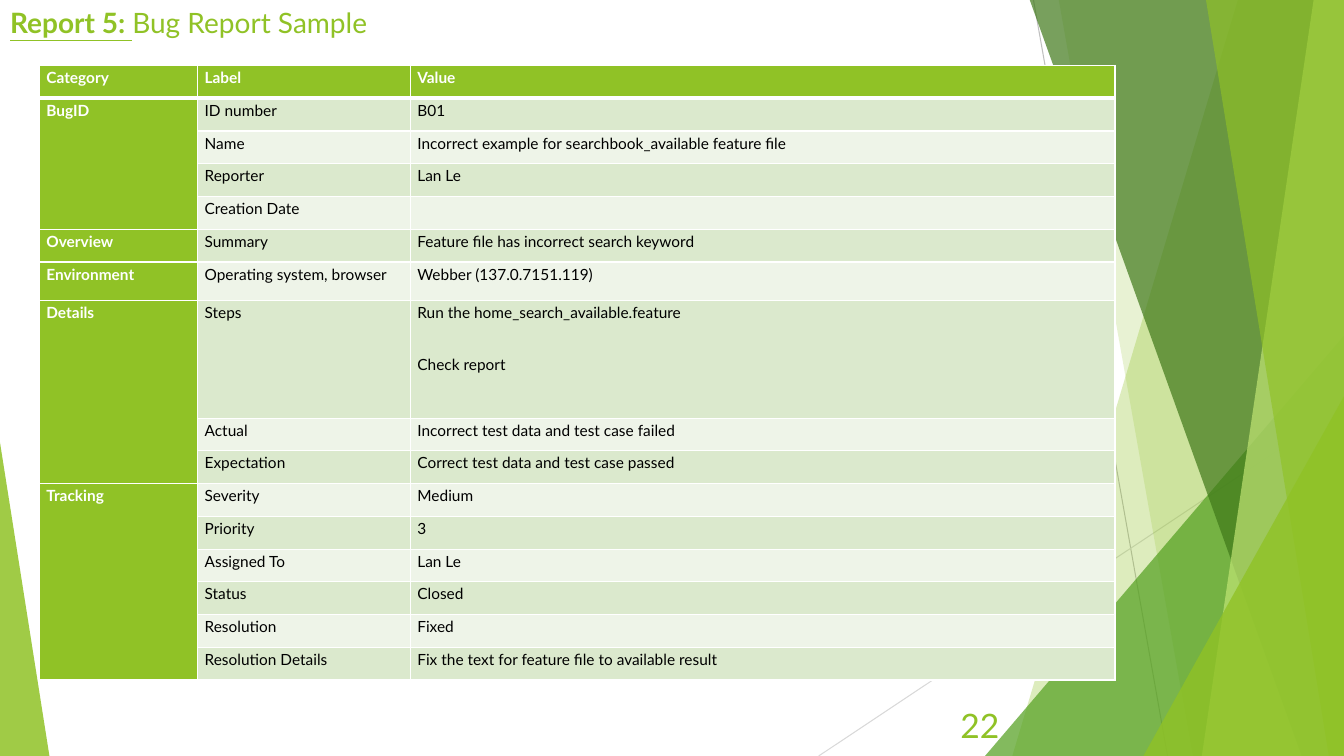
from dataclasses import dataclass

from lxml import etree
from pptx import Presentation
from pptx.dml.color import RGBColor
from pptx.enum.shapes import MSO_CONNECTOR as Connector, MSO_SHAPE as Shape
from pptx.enum.text import MSO_ANCHOR as Anchor, MSO_AUTO_SIZE as AutoSize, PP_ALIGN as Align
from pptx.oxml.ns import qn
from pptx.util import Inches, Pt


@dataclass(frozen=True)
class Theme:
    font: str = "Lato"
    title_size: int = 20
    number_size: int = 24
    cell_size: int = 11
    lime: str = "90C226"
    pale_lime: str = "C0E474"
    green: str = "54A021"
    forest: str = "3F7819"
    stripe_dark: str = "DBE9CD"
    stripe_light: str = "EEF4E8"
    rule_dark: str = "BFBFBF"
    rule_light: str = "D9D9D9"
    white: str = "FFFFFF"
    black: str = "000000"


THEME = Theme()
WIDTH, HEIGHT = 13.33, 7.5

HEADINGS = ["Category", "Label", "Value"]
REPORT = [
    ("BugID", [
        ("ID number", ["B01"]),
        ("Name", ["Incorrect example for searchbook_available feature file"]),
        ("Reporter", ["Lan Le"]),
        ("Creation Date", []),
    ]),
    ("Overview", [("Summary", ["Feature file has incorrect search keyword"])]),
    ("Environment", [("Operating system, browser", ["Webber (137.0.7151.119)"])]),
    ("Details", [
        ("Steps", ["Run the home_search_available.feature", "Check report"]),
        ("Actual", ["Incorrect test data and test case failed"]),
        ("Expectation", ["Correct test data and test case passed"]),
    ]),
    ("Tracking", [
        ("Severity", ["Medium"]),
        ("Priority", ["3"]),
        ("Assigned To", ["Lan Le"]),
        ("Status", ["Closed"]),
        ("Resolution", ["Fixed"]),
        ("Resolution Details", ["Fix the text for feature file to available result"]),
    ]),
]
COLUMN_WIDTHS = [1.57, 2.11, 6.99]
TABLE_HEIGHT = 6.1
TALL_ROWS = {6: 0.38, 7: 1.17}


def add_span(para, text, size, color, bold=False, underline=False):
    span = para.add_run()
    span.text = text
    font = span.font
    font.name, font.size = THEME.font, Pt(size)
    font.bold, font.underline = bold, underline
    font.color.rgb = RGBColor.from_string(color)


# Background facets
def paint(shape, color, opacity):
    shape.shadow.inherit = False
    shape.line.fill.background()
    shape.fill.solid()
    shape.fill.fore_color.rgb = RGBColor.from_string(color)
    tint = shape.fill._xPr.find(qn("a:solidFill"))[0]
    etree.SubElement(tint, qn("a:alpha"), val=str(opacity * 1000))


def add_rule(page, start, end, color):
    rule = page.shapes.add_connector(Connector.STRAIGHT, *map(Inches, start + end))
    rule.line.color.rgb = RGBColor.from_string(color)
    rule.line.width = Pt(0.75)
    etree.SubElement(rule._element.spPr, qn("a:effectLst"))


def add_band(page, top_x, bottom_x, color, opacity):
    """Fill from a slanted left edge to the right side of the slide."""
    top = Inches(-0.01)
    builder = page.shapes.build_freeform(Inches(top_x), top)
    builder.add_line_segments([
        (Inches(WIDTH), top),
        (Inches(WIDTH), Inches(HEIGHT)),
        (Inches(bottom_x), Inches(HEIGHT)),
    ])
    paint(builder.convert_to_shape(), color, opacity)


def add_corner(page, left, top, width, apex, color, opacity):
    """Triangle standing on the bottom edge, with its apex at 0 (left) or 1 (right)."""
    corner = page.shapes.add_shape(
        Shape.ISOSCELES_TRIANGLE, Inches(left), Inches(top), Inches(width), Inches(HEIGHT - top))
    corner.adjustments[0] = apex
    paint(corner, color, opacity)


def add_background(page):
    add_rule(page, (10.25, 0), (11.58, HEIGHT), THEME.rule_dark)
    add_rule(page, (WIDTH, 4.03), (8.12, HEIGHT), THEME.rule_light)
    add_band(page, 12.28, 10.04, THEME.lime, 30)
    add_band(page, 10.5, 11.83, THEME.lime, 20)
    add_corner(page, 9.77, 3.33, 3.56, 1, THEME.green, 72)
    add_band(page, 10.21, 12.91, THEME.forest, 70)
    add_band(page, 13.03, 11.92, THEME.pale_lime, 70)
    add_band(page, 11.96, 13.18, THEME.lime, 65)
    add_corner(page, 11.34, 3.93, 1.99, 1, THEME.lime, 80)
    add_corner(page, 0, 4.39, 0.49, 0, THEME.lime, 85)


# Title and page number
def add_title(page):
    title = page.shapes.title
    title.left, title.top, title.width, title.height = map(Inches, (0, 0, 9.4, 1.44))
    frame = title.text_frame
    frame.auto_size, frame.vertical_anchor = AutoSize.NONE, Anchor.TOP
    para = frame.paragraphs[0]
    para.alignment = Align.LEFT
    add_span(para, "Report 5: ", THEME.title_size, THEME.lime, bold=True, underline=True)
    add_span(para, "Bug Report Sample", THEME.title_size, THEME.lime)


def add_page_number(page, number):
    box = page.shapes.add_textbox(*map(Inches, (9.26, 6.99, 0.75, 0.4)))
    frame = box.text_frame
    frame.word_wrap, frame.vertical_anchor = True, Anchor.MIDDLE
    para = frame.paragraphs[0]
    para.alignment = Align.RIGHT
    add_span(para, number, THEME.number_size, THEME.lime)


# Report table
def add_borders(cell, row):
    widths = {"L": 1, "R": 1, "T": 3 if row == 1 else 1, "B": 3 if row == 0 else 1}
    properties = cell._tc.get_or_add_tcPr()
    for side, width in widths.items():
        line = etree.SubElement(properties, qn(f"a:ln{side}"), w=str(Pt(width)))
        fill = etree.SubElement(line, qn("a:solidFill"))
        etree.SubElement(fill, qn("a:srgbClr"), val=THEME.white)


def style_cell(cell, row, column):
    add_borders(cell, row)
    cell.margin_left = cell.margin_right = Inches(0.07)
    cell.margin_top = cell.margin_bottom = 0
    stripe = THEME.stripe_dark if row % 2 else THEME.stripe_light
    cell.fill.solid()
    cell.fill.fore_color.rgb = RGBColor.from_string(
        THEME.lime if row == 0 or column == 0 else stripe)


def write_cell(cell, lines, heading=False):
    frame = cell.text_frame
    for index, line in enumerate(lines):
        para = frame.add_paragraph() if index else frame.paragraphs[0]
        para.line_spacing = 1.15
        para.space_before = Pt(12 if index else 0)
        para.space_after = Pt(10)
        add_span(para, line, THEME.cell_size, THEME.white if heading else THEME.black, heading)


def add_report_table(page):
    row_count = 1 + sum(len(entries) for _, entries in REPORT)
    table = page.shapes.add_table(
        row_count, len(HEADINGS), Inches(0.39), Inches(0.65),
        Inches(sum(COLUMN_WIDTHS)), Inches(TABLE_HEIGHT)).table
    for column, width in zip(table.columns, COLUMN_WIDTHS):
        column.width = Inches(width)
    usual = (TABLE_HEIGHT - sum(TALL_ROWS.values())) / (row_count - len(TALL_ROWS))
    for index, row in enumerate(table.rows):
        row.height = Inches(TALL_ROWS.get(index, usual))
        for column, cell in enumerate(row.cells):
            style_cell(cell, index, column)

    for column, heading in enumerate(HEADINGS):
        write_cell(table.cell(0, column), [heading], heading=True)
    first = 1
    for category, entries in REPORT:
        last = first + len(entries) - 1
        if last > first:
            table.cell(first, 0).merge(table.cell(last, 0))
        write_cell(table.cell(first, 0), [category], heading=True)
        for row, (label, values) in enumerate(entries, first):
            write_cell(table.cell(row, 1), [label])
            write_cell(table.cell(row, 2), values)
        first = last + 1


def main():
    deck = Presentation()
    deck.slide_width, deck.slide_height = Inches(WIDTH), Inches(HEIGHT)
    page = deck.slides.add_slide(deck.slide_layouts[5])
    add_background(page)
    add_title(page)
    add_report_table(page)
    add_page_number(page, "22")
    deck.save("out.pptx")


if __name__ == "__main__":
    main()
